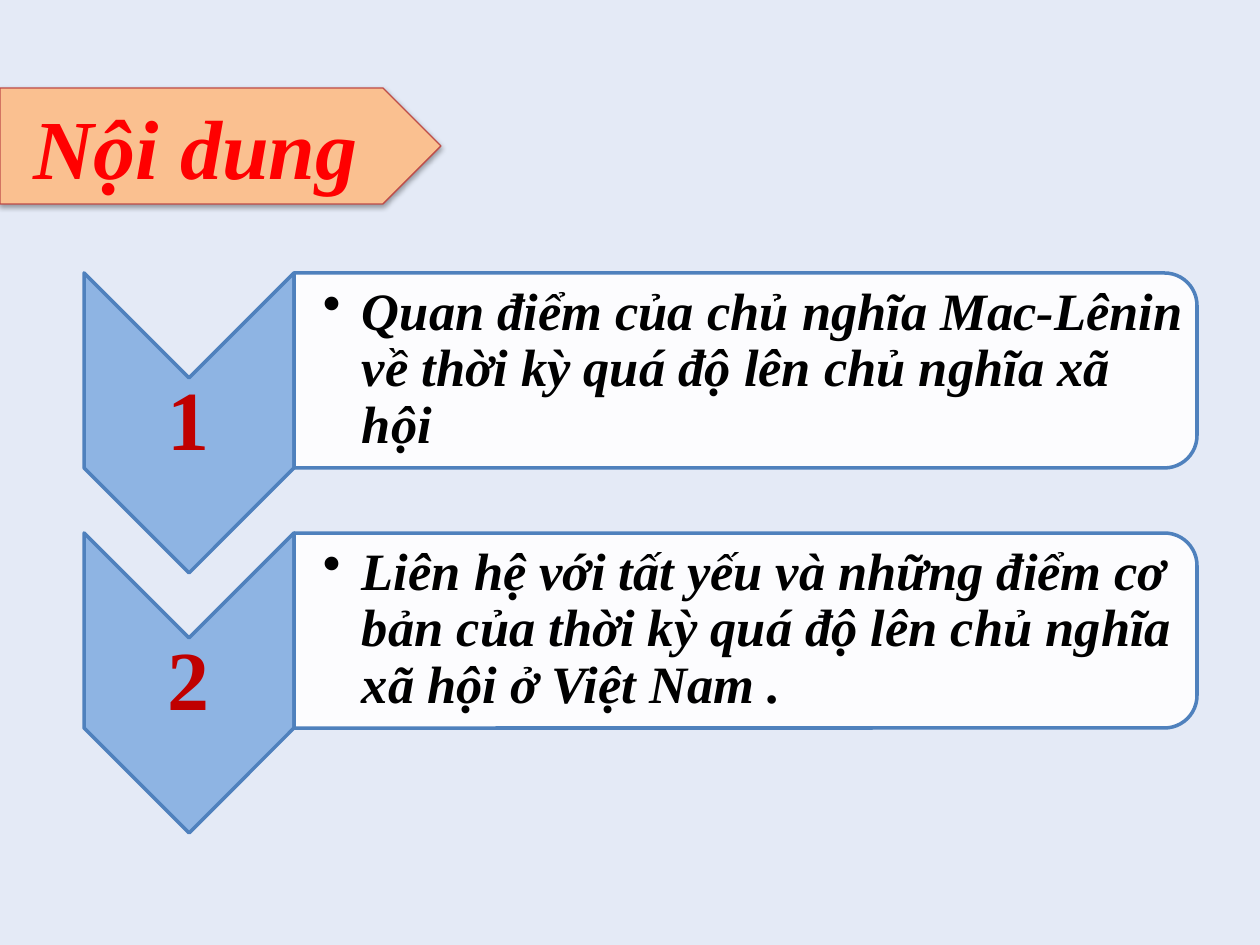
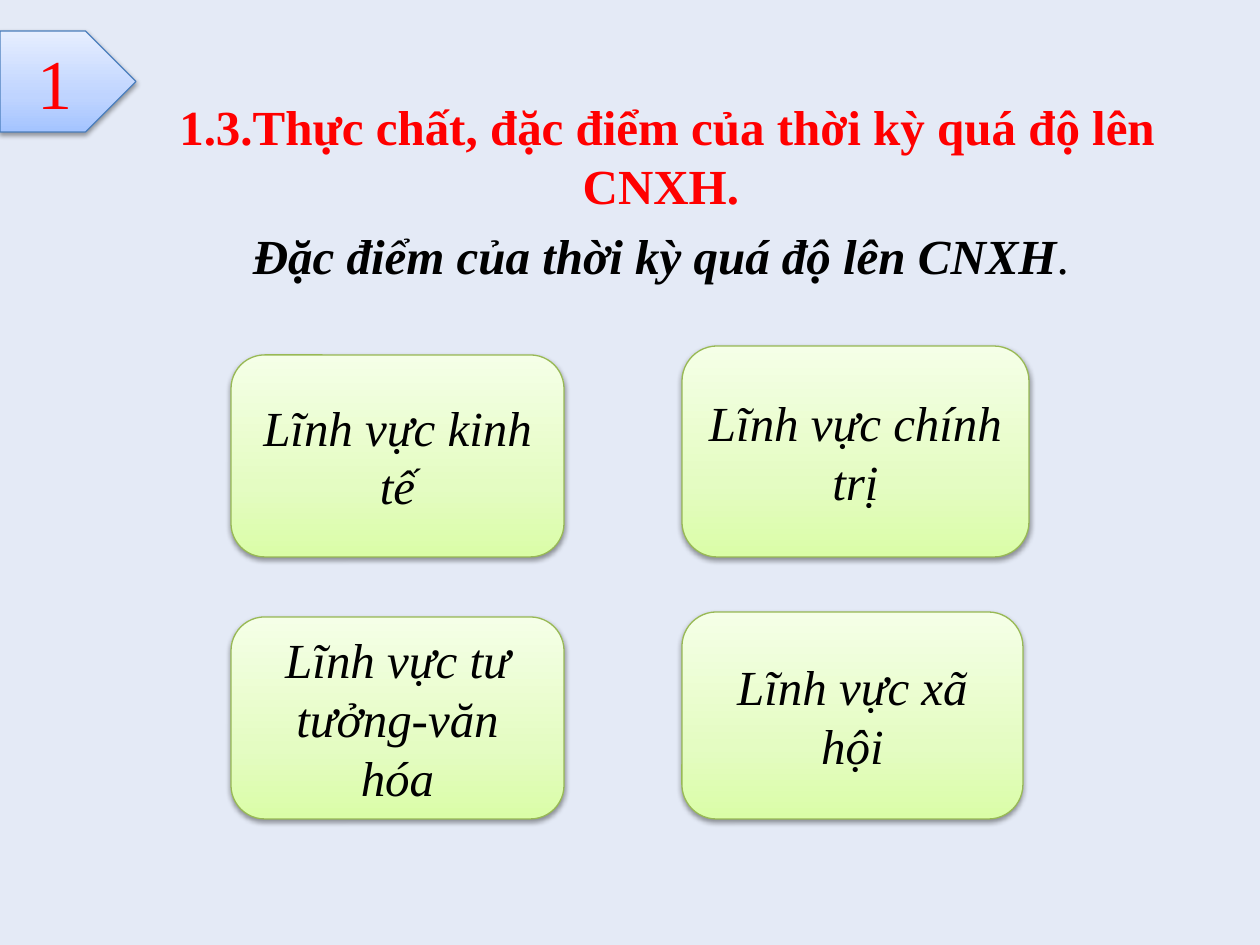
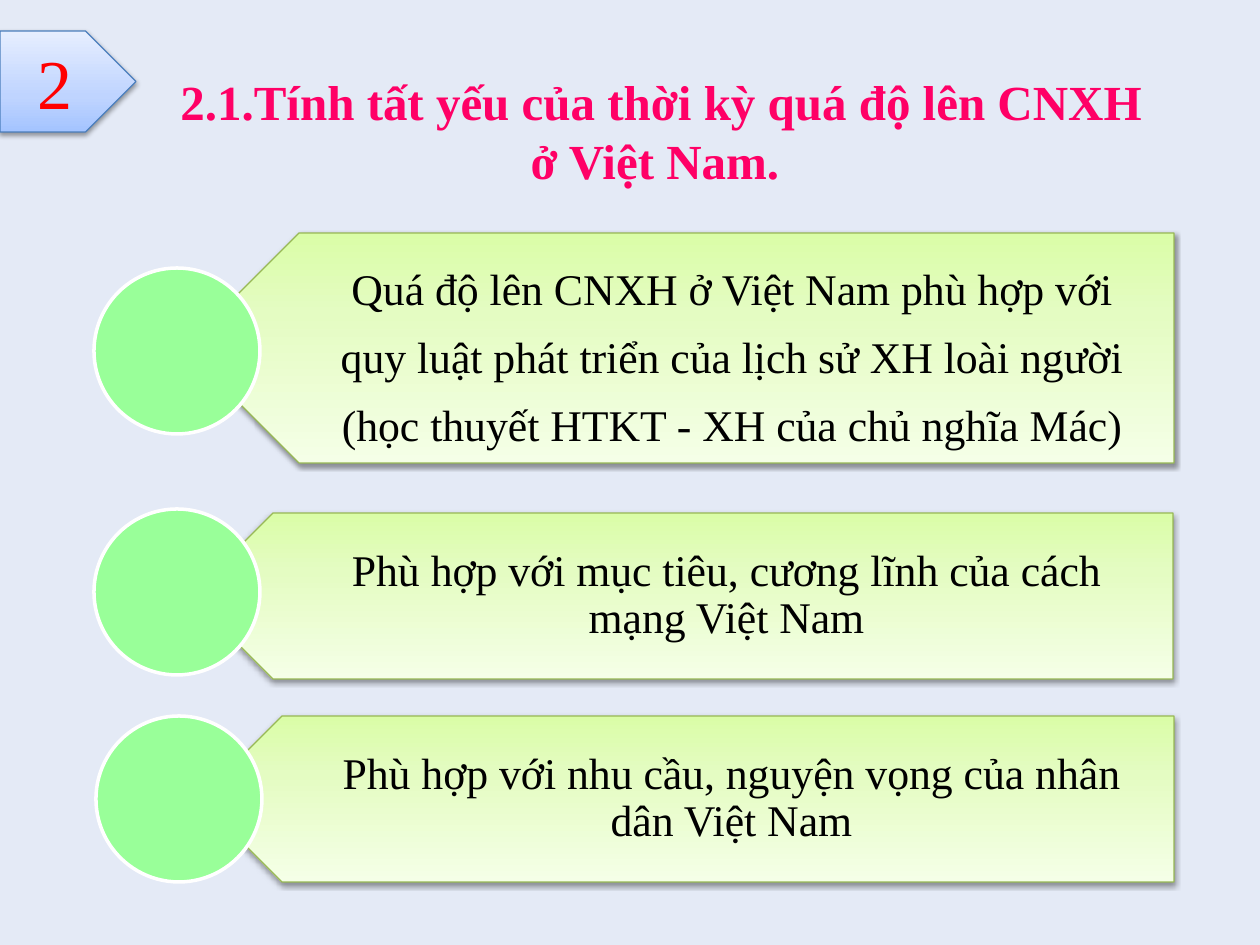
from dataclasses import dataclass

from lxml.etree import SubElement
from pptx import Presentation
from pptx.dml.color import RGBColor
from pptx.enum.shapes import MSO_SHAPE as SHAPE
from pptx.enum.text import MSO_ANCHOR as ANCHOR, PP_ALIGN as ALIGN
from pptx.oxml.ns import qn
from pptx.util import Pt

PX = 914400 / 126


@dataclass(frozen=True)
class Theme:
    font: str = "Times New Roman"
    background: str = "E4EAF6"
    ink: str = "000000"
    white: str = "FFFFFF"
    red: str = "FF0000"
    dark_red: str = "C00000"
    pink: str = "FF0066"
    orange: str = "FAC090"
    orange_line: str = "BF4C48"
    blue: str = "8EB4E3"
    blue_line: str = "4F81BD"
    tag_line: str = "4B7EBC"
    mint: str = "99FF99"
    green_line: str = "98B955"
    blue_fade: tuple = ((0, "A4C4FF"), (35, "BFD4FF"), (100, "E6EEFF"))
    green_fade: tuple = ((0, "DAFDA7"), (35, "E4FCC2"), (100, "F5FFE7"))
    banner: int = 48
    tag: int = 40
    item: int = 30
    heading: int = 28
    body: int = 25


T = Theme()


def emu(*lengths):
    return [round(n * PX) for n in lengths]


def add_color(parent, rgb, alpha=None):
    clr = SubElement(parent, qn("a:srgbClr"), val=rgb)
    if alpha is not None:
        SubElement(clr, qn("a:alpha"), val=str(alpha * 1000))


def add_gradient(sp, stops):
    """Fade from the first stop at the bottom to the last one at the top."""
    grad = SubElement(sp._element.spPr, qn("a:gradFill"), rotWithShape="1")
    gs_list = SubElement(grad, qn("a:gsLst"))
    for pos, rgb in stops:
        add_color(SubElement(gs_list, qn("a:gs"), pos=str(pos * 1000)), rgb)
    SubElement(grad, qn("a:lin"), ang="16200000", scaled="0")


def add_shadow(sp, alpha):
    effects = sp._element.spPr.find(qn("a:effectLst"))
    shadow = SubElement(effects, qn("a:outerShdw"), blurRad="39370", dist="21590",
                        dir="5400000", rotWithShape="0")
    add_color(shadow, "000000", alpha)


def add_shape(s, kind, box, fill, line, weight=0.75, rotation=0, shadow=None, alpha=None):
    """Draw a shape whose outline fills box after its rotation."""
    x, y, w, h = box
    if rotation == 90:
        x, y, w, h = x + (w - h) / 2, y + (h - w) / 2, h, w
    sp = s.shapes.add_shape(kind, *emu(x, y, w, h))
    sp.rotation = rotation
    if isinstance(fill, tuple):
        add_gradient(sp, fill)
    else:
        sp.fill.solid()
        sp.fill.fore_color.rgb = RGBColor.from_string(fill)
        if alpha is not None:
            clr = sp._element.spPr.find(".//" + qn("a:srgbClr"))
            SubElement(clr, qn("a:alpha"), val=str(alpha * 1000))
    sp.line.color.rgb = RGBColor.from_string(line)
    sp.line.width = Pt(weight)
    sp.shadow.inherit = False
    if shadow:
        add_shadow(sp, shadow)
    return sp


def write(sp, text, size, color=T.ink, bold=False, italic=False, align=ALIGN.CENTER,
          anchor=ANCHOR.MIDDLE, spacing=None, insets=(13, 6, 13, 6), tail="", bullet=0):
    """Set the text; tail is a plain ending, bullet the hanging indent in px."""
    tf = sp.text_frame
    tf.word_wrap = True
    tf.vertical_anchor = anchor
    tf.margin_left, tf.margin_top, tf.margin_right, tf.margin_bottom = emu(*insets)
    p = tf.paragraphs[0]
    p.alignment = align
    if spacing:
        p.line_spacing = spacing
    if bullet:
        indent, = emu(bullet)
        pPr = p._p.get_or_add_pPr()
        pPr.set("marL", str(indent))
        pPr.set("indent", str(-indent))
        SubElement(pPr, qn("a:buChar"), char="•")
    for part, b, i in ((text, bold, italic), (tail, False, False)):
        if part:
            r = p.add_run()
            r.text = part
            r.font.name, r.font.size = T.font, Pt(size)
            r.font.bold, r.font.italic = b, i
            r.font.color.rgb = RGBColor.from_string(color)


def add_text(s, box, text, size, **fmt):
    write(s.shapes.add_textbox(*emu(*box)), text, size, **fmt)


def add_heading(s, box, text, **fmt):
    add_text(s, box, text, T.heading, bold=True, anchor=ANCHOR.TOP, **fmt)


def section_tag(s, number):
    sp = add_shape(s, SHAPE.PENTAGON, (0, 31, 136, 101), T.blue_fade, T.tag_line, shadow=38)
    write(sp, number, T.tag, color=T.red)


def agenda_item(s, box, number, text):
    """Down chevron with a number, beside a panel rounded on the right."""
    x, y, w, h = box
    chevron_w, panel_h = 210, 195
    add_shape(s, SHAPE.CHEVRON, (x, y, chevron_w, h), T.blue, T.blue_line,
              weight=2, rotation=90)
    add_text(s, (x, y + chevron_w // 2, chevron_w, h - chevron_w), number, T.banner,
             color=T.dark_red, bold=True, spacing=0.9, insets=(4, 4, 4, 4))
    panel = (x + chevron_w, y, w - chevron_w, panel_h)
    add_shape(s, SHAPE.ROUND_2_SAME_RECTANGLE, panel, T.white, T.blue_line,
              weight=2, rotation=90, alpha=90)
    add_text(s, (panel[0], y + 9, panel[2] - 10, panel_h - 19), text, T.item, bold=True,
             italic=True, align=ALIGN.LEFT, spacing=0.9, insets=(29, 2, 2, 2), bullet=39)


def field_card(s, box, text):
    sp = add_shape(s, SHAPE.ROUNDED_RECTANGLE, box, T.green_fade, T.green_line, shadow=38)
    write(sp, text, T.heading, italic=True)


def reason_row(s, box, dot, text, spacing=0.9):
    """Arrow pointing left at a dot, whose left and top are given from the box."""
    x, y, w, h = box
    add_shape(s, SHAPE.PENTAGON, box, T.green_fade, T.green_line, rotation=180, shadow=38)
    add_text(s, (x + h // 4, y, w - h // 4, h), text, T.body, spacing=spacing,
             insets=(73, 13, 24, 13))
    add_shape(s, SHAPE.OVAL, (x + dot[0], y + dot[1], 166, 166), T.mint, T.white, weight=2)


def agenda_slide(s):
    banner = add_shape(s, SHAPE.PENTAGON, (0, 88, 441, 116), T.orange, T.orange_line, shadow=35)
    write(banner, "Nội dung ", T.banner, color=T.red, bold=True, italic=True)
    items = (
        "Quan điểm của chủ nghĩa Mac-Lênin về thời kỳ quá độ lên chủ nghĩa xã hội",
        "Liên hệ với tất yếu và những điểm cơ bản của thời kỳ quá độ lên chủ nghĩa "
        "xã hội ở Việt Nam .",
    )
    for i, text in enumerate(items):
        agenda_item(s, (84, 273 + 260 * i, 1113, 300), str(i + 1), text)


def fields_slide(s):
    section_tag(s, "1")
    add_heading(s, (147, 91, 1040, 131),
                "1.3.Thực chất, đặc điểm của thời kỳ quá độ lên CNXH. ", color=T.red)
    add_heading(s, (147, 219, 1040, 72), "Đặc điểm của thời kỳ quá độ lên CNXH",
                italic=True, tail=". ")
    for box, text in (
        ((231, 355, 333, 202), "Lĩnh vực kinh tế"),
        ((682, 346, 347, 211), "Lĩnh vực chính trị"),
        ((231, 617, 333, 202), "Lĩnh vực tư tưởng-văn hóa"),
        ((682, 612, 341, 207), "Lĩnh vực xã hội"),
    ):
        field_card(s, box, text)


def reasons_slide(s):
    section_tag(s, "2")
    reason_row(s, (184, 233, 990, 230), (-90, 35),
               "Quá độ lên CNXH ở Việt Nam phù hợp với quy luật phát triển của lịch sử XH "
               "loài người (học thuyết HTKT - XH của chủ nghĩa Mác)", spacing=1.3)
    reason_row(s, (190, 513, 983, 166), (-96, -4),
               "Phù hợp với mục tiêu, cương lĩnh của cách mạng Việt Nam")
    reason_row(s, (199, 716, 975, 166), (-103, 0),
               "Phù hợp với nhu cầu, nguyện vọng của nhân dân Việt Nam")
    add_heading(s, (157, 66, 1008, 131),
                "2.1.Tính tất yếu của thời kỳ quá độ lên CNXH ở Việt Nam. ", color=T.pink)


def main():
    prs = Presentation()
    prs.slide_width, prs.slide_height = emu(1260, 945)
    for build in (agenda_slide, fields_slide, reasons_slide):
        s = prs.slides.add_slide(prs.slide_layouts[6])
        s.background.fill.solid()
        s.background.fill.fore_color.rgb = RGBColor.from_string(T.background)
        build(s)
    prs.save("out.pptx")


if __name__ == "__main__":
    main()
